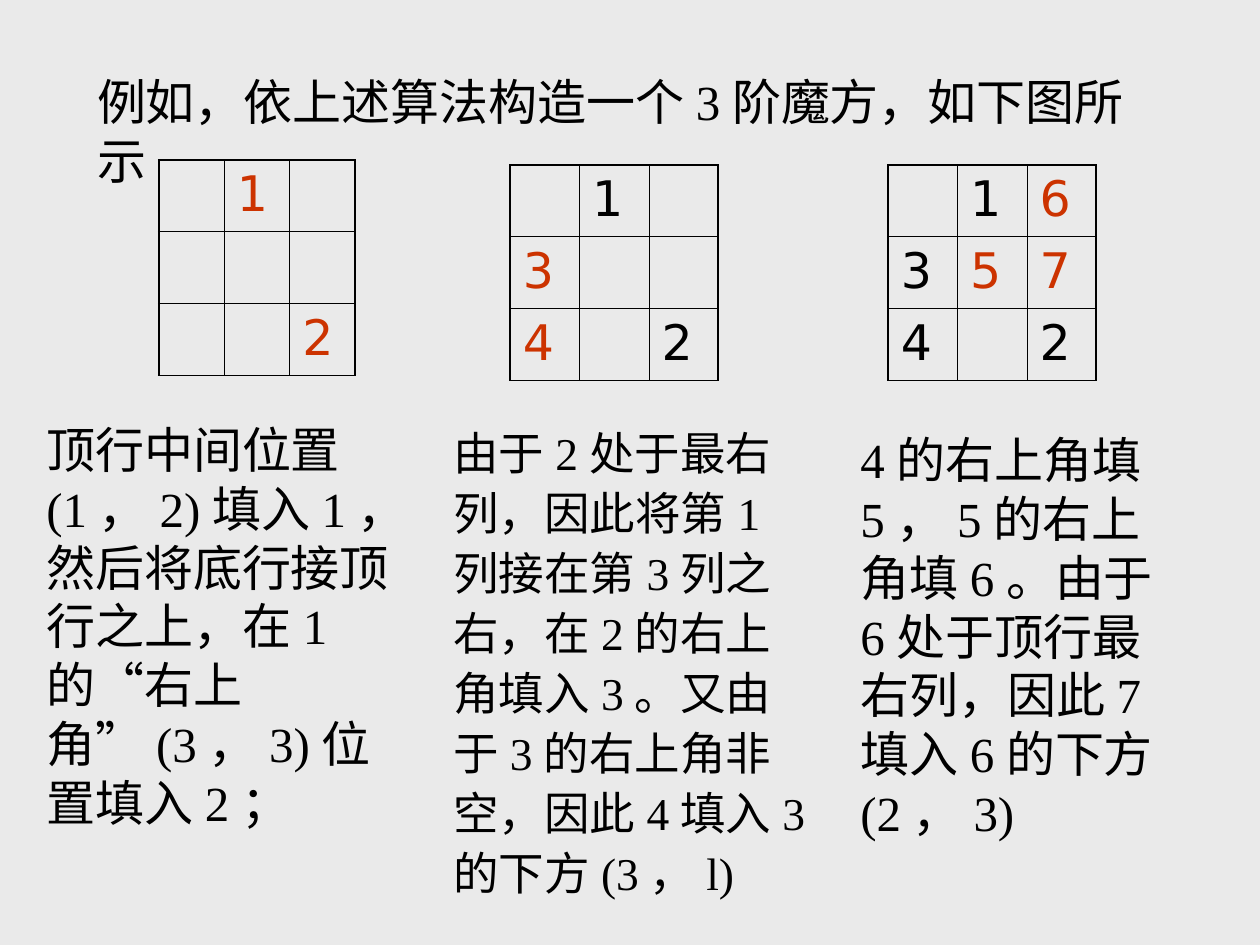
from lxml.etree import SubElement as Sub
from pptx import Presentation
from pptx.dml.color import RGBColor as Rgb
from pptx.enum.text import MSO_ANCHOR as Anchor, MSO_AUTO_SIZE as Fit, PP_ALIGN as Align
from pptx.oxml.ns import qn
from pptx.util import Inches, Pt

# Content
LEAD = "例如，依上述算法构造一个3阶魔方，如下图所示"
# Each square: left, top, cell width, rows, digits just filled in
SQUARES = [
    (1.26, 1.27, 0.52, [" 1 ", "   ", "  2"], "12"),
    (4.05, 1.31, 0.55, [" 1 ", "3  ", "4 2"], "34"),
    (7.05, 1.31, 0.55, [" 16", "357", "4 2"], "567"),
]
# Each note: left, top, width, height, size, line spacing, text
NOTES = [
    (0.27, 3.28, 3.13, 2.9, 28, 1.0,
     "顶行中间位置(1，2)填入1，然后将底行接顶行之上，在1的“右上角”(3，3)位置填入2；"),
    (3.5, 3.28, 3.05, 3.91, 26, 1.1,
     "由于2处于最右列，因此将第1列接在第3列之右，在2的右上角填入3。"
     "又由于3的右上角非空，因此4填入3的下方(3，l)"),
    (6.73, 3.36, 2.76, 2.9, 28, 1.0,
     "4的右上角填5，5的右上角填6。由于6处于顶行最右列，因此7填入6的下方(2，3)"),
]
COLORS = {"back": "EAEAEA", "ink": "000000", "new": "CC3300"}
SERIF, SANS = "Times New Roman", "DejaVu Sans"
ROW, THICK, THIN = 0.57, 1.08, 0.45


def style(para, size, face, color):
    font = para.font
    font.size, font.name = Pt(size), face
    font.color.rgb = Rgb.from_string(COLORS[color])


def write(shape, text, size, space=1.0):
    frame = shape.text_frame
    frame.word_wrap, frame.auto_size = True, Fit.SHAPE_TO_FIT_TEXT
    frame.vertical_anchor = Anchor.TOP
    frame.text = text
    para = frame.paragraphs[0]
    para.alignment, para.line_spacing = Align.LEFT, space
    style(para, size, SERIF, "ink")


def border(cell, r, c, last):
    props = cell._tc.get_or_add_tcPr()
    edges = {"lnL": c == 0, "lnR": c == last, "lnT": r == 0, "lnB": r == last}
    for tag, outer in edges.items():
        line = Sub(props, qn("a:" + tag), w=str(Pt(THICK if outer else THIN)))
        fill = Sub(line, qn("a:solidFill"))
        Sub(fill, qn("a:srgbClr"), val=COLORS["ink"])


def square(slide, left, top, width, rows, new):
    n = len(rows)
    table = slide.shapes.add_table(n, n, Inches(left), Inches(top),
                                   Inches(width * n), Inches(ROW * n)).table
    table.first_row = table.horz_banding = False
    for r, row in enumerate(rows):
        table.rows[r].height = Inches(ROW)
        table.columns[r].width = Inches(width)
        for c, digit in enumerate(row):
            cell = table.cell(r, c)
            border(cell, r, c, n - 1)
            cell.fill.background()
            cell.text = digit.strip()
            style(cell.text_frame.paragraphs[0], 28, SANS,
                  "new" if digit in new else "ink")


def main():
    deck = Presentation()
    deck.slide_width, deck.slide_height = Inches(10), Inches(7.5)
    slide = deck.slides.add_slide(deck.slide_layouts[5])
    back = slide.background.fill
    back.solid()
    back.fore_color.rgb = Rgb.from_string(COLORS["back"])

    # Lead sentence
    title = slide.shapes.title
    title.left, title.top = Inches(0.67), Inches(0.52)
    title.width, title.height = Inches(8.58), Inches(1.04)
    write(title, LEAD, 28)

    # Three stages of the magic square
    for item in SQUARES:
        square(slide, *item)

    # Explanation under each stage
    for *place, size, space, text in NOTES:
        box = slide.shapes.add_textbox(*map(Inches, place))
        write(box, text, size, space)

    deck.save("out.pptx")


if __name__ == "__main__":
    main()
